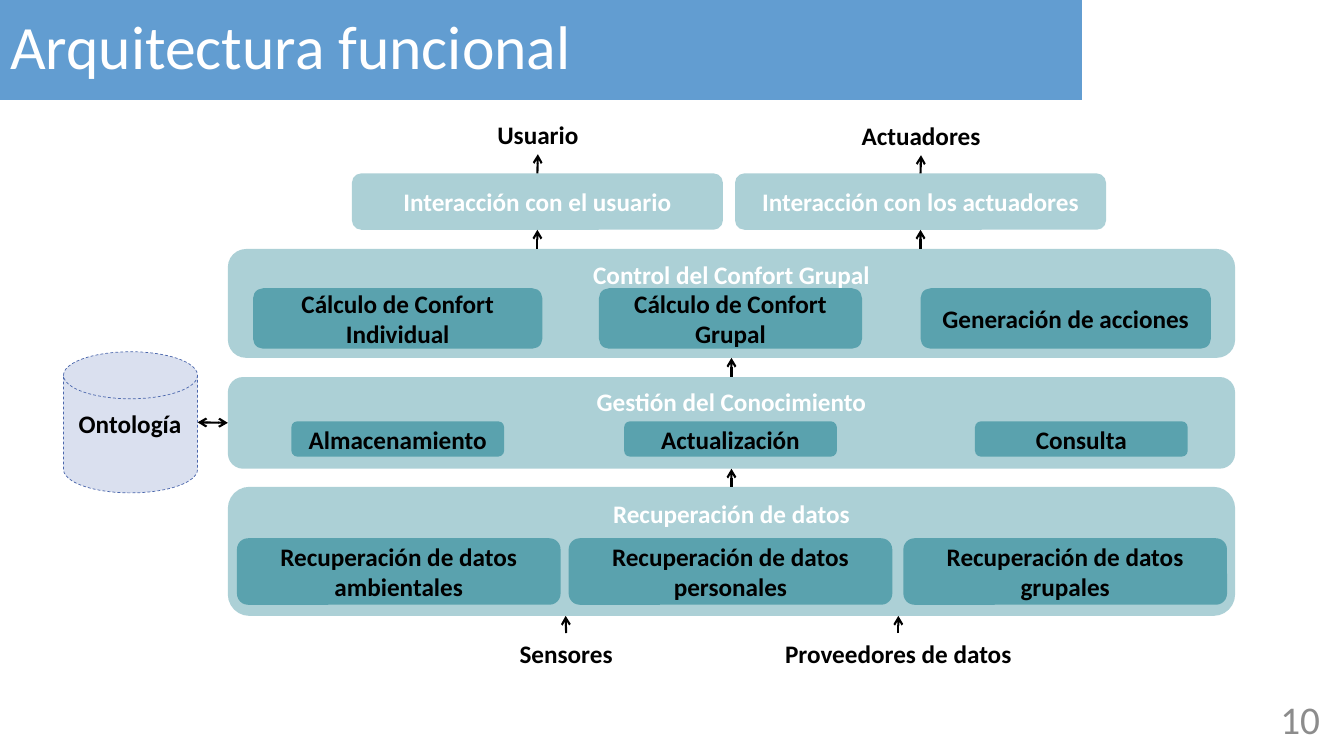
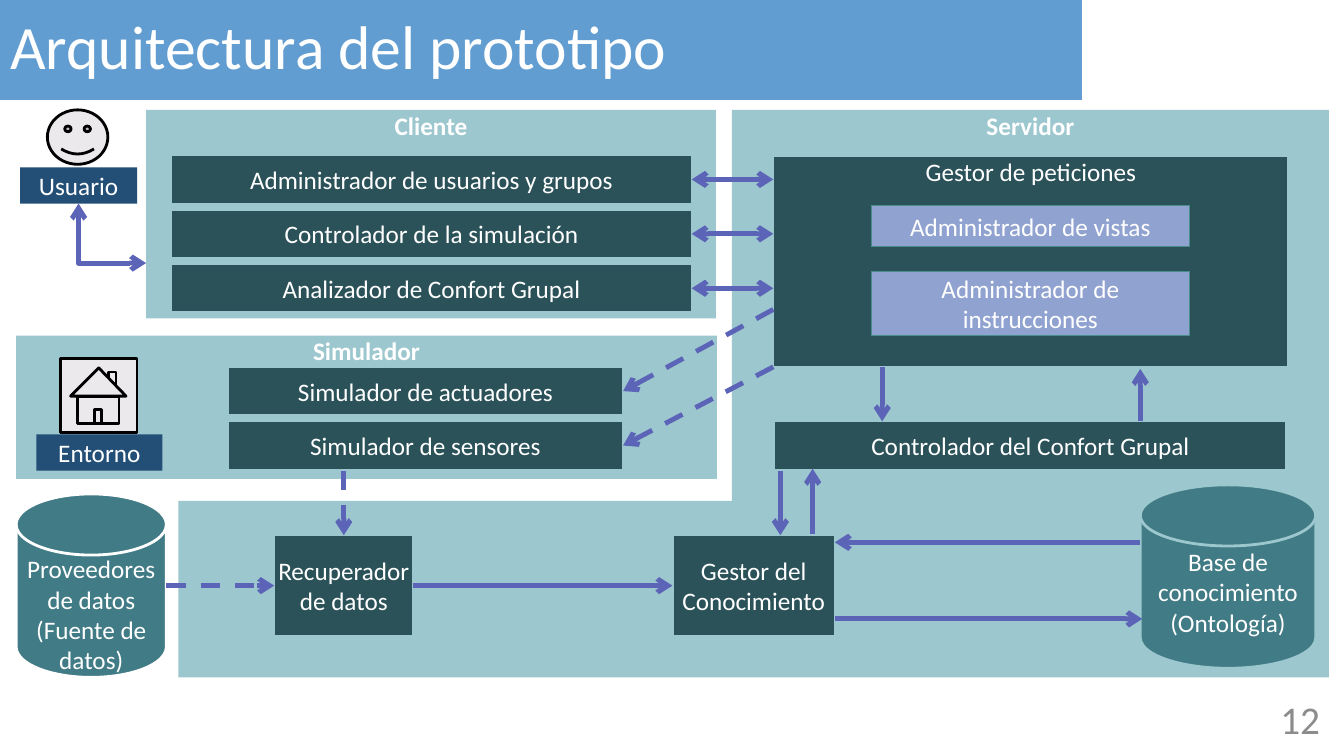
from dataclasses import dataclass, replace

from lxml import etree
from pptx import Presentation
from pptx.dml.color import RGBColor
from pptx.enum.dml import MSO_LINE
from pptx.enum.shapes import MSO_CONNECTOR, MSO_SHAPE
from pptx.enum.text import MSO_ANCHOR, MSO_AUTO_SIZE, PP_ALIGN
from pptx.oxml.ns import qn
from pptx.util import Emu, Pt

RECT, ROUND = MSO_SHAPE.RECTANGLE, MSO_SHAPE.ROUNDED_RECTANGLE
DISK, SMILEY = MSO_SHAPE.FLOWCHART_MAGNETIC_DISK, MSO_SHAPE.SMILEY_FACE
STRAIGHT, ELBOW = MSO_CONNECTOR.STRAIGHT, MSO_CONNECTOR.ELBOW
TOP, MIDDLE = MSO_ANCHOR.TOP, MSO_ANCHOR.MIDDLE
LEFT, CENTER, RIGHT = PP_ALIGN.LEFT, PP_ALIGN.CENTER, PP_ALIGN.RIGHT
DASH = MSO_LINE.DASH

PX = 9144  # EMU per px, 100 px to the inch
FONT = "Calibri"
WHITE, BLACK, GREY = "FFFFFF", "000000", "8C8C8C"
BANNER, TEAL, PALE, DARK = "629DD1", "5AA2AE", "9CC7CE", "2B5259"
NAVY, LILAC, VIOLET, ICON = "234F77", "90A2CF", "5C64B7", "EBE9EC"
JOIN_REACH = 2


@dataclass(frozen=True)
class Style:
    kind: int = RECT
    fill: str = ""
    alpha: int = 100
    line: str = ""
    weight: float = 1.5
    dashed: bool = False
    color: str = WHITE
    bold: bool = False
    anchor: int = MIDDLE
    inset: tuple[int, int, int, int] = (0, 0, 0, 0)


@dataclass(frozen=True)
class Box:
    x: int
    y: int
    w: int
    h: int
    text: str
    style: Style


@dataclass(frozen=True)
class Arrow:
    x1: int
    y1: int
    x2: int
    y2: int
    both: bool = False
    dashed: bool = False
    kind: int = STRAIGHT


PADDED = (10, 5, 10, 5)
BAND = Style(ROUND, TEAL, alpha=50, bold=True, inset=PADDED)
LAYER = replace(BAND, anchor=TOP)
MODULE = replace(BAND, alpha=100, color=BLACK)
STORE = Style(DISK, "DAE0EF", line="4A66AC", weight=0.5, dashed=True)
ZONE = Style(fill=PALE, bold=True, anchor=TOP)
PART = Style(fill=DARK, line=PALE)
TAG = Style(fill=NAVY)
ADMIN = Style(fill=LILAC, line="498D8D", weight=0.75)
DATABASE = Style(DISK, "417B85", line=PALE, weight=2, inset=PADDED)
PROVIDERS = replace(DATABASE, line=WHITE, inset=(10, 31, 10, 5))
DRAWING = Style(fill=ICON, line=BLACK, weight=2)


def px(n: int) -> Emu:
    return Emu(round(n * PX))


def rgb(value: str) -> RGBColor:
    return RGBColor.from_string(value)


def write(sp, text: str, size: int, color: str, align: int, bold: bool = False):
    tf = sp.text_frame
    tf.text = text
    p = tf.paragraphs[0]
    p.alignment = align
    p.font.name, p.font.size, p.font.bold = FONT, Pt(size), bold
    p.font.color.rgb = rgb(color)
    return tf


def paint(sp, style: Style) -> None:
    sp.shadow.inherit = False
    sp.fill.solid()
    sp.fill.fore_color.rgb = rgb(style.fill)
    if style.alpha < 100:
        color = sp.fill._xPr.find(qn("a:solidFill"))[0]
        etree.SubElement(color, qn("a:alpha"), val=str(style.alpha * 1000))
    if not style.line:
        sp.line.fill.background()
        return
    sp.line.color.rgb = rgb(style.line)
    sp.line.width = Pt(style.weight)
    if style.dashed:
        sp.line.dash_style = DASH


def add_box(slide, box: Box):
    s = box.style
    sp = slide.shapes.add_shape(s.kind, px(box.x), px(box.y), px(box.w), px(box.h))
    paint(sp, s)
    if box.text:
        tf = write(sp, box.text, 18, s.color, CENTER, s.bold)
        tf.word_wrap = True
        tf.vertical_anchor = s.anchor
        (tf.margin_left, tf.margin_top,
         tf.margin_right, tf.margin_bottom) = map(px, s.inset)
    return sp


def add_label(slide, x: int, y: int, w: int, text: str, size: int = 18,
              color: str = BLACK, align: int = CENTER, bold: bool = True):
    sp = slide.shapes.add_textbox(px(x), px(y), px(w), px(40))
    tf = write(sp, text, size, color, align, bold)
    tf.word_wrap = False
    tf.vertical_anchor = MIDDLE
    return sp


def join(connect, x: int, y: int, targets: list) -> None:
    """Attach a connector end to the rectangle side whose middle lies there."""
    reach = px(JOIN_REACH)
    for sp in targets:
        cx, cy = sp.left + sp.width // 2, sp.top + sp.height // 2
        sides = ((cx, sp.top), (sp.left, cy),
                 (cx, sp.top + sp.height), (sp.left + sp.width, cy))
        for site, (sx, sy) in enumerate(sides):
            if abs(sx - px(x)) <= reach and abs(sy - px(y)) <= reach:
                connect(sp, site)
                return


def add_arrow(slide, arrow: Arrow, color: str, weight: float, targets: list) -> None:
    cxn = slide.shapes.add_connector(
        arrow.kind, px(arrow.x1), px(arrow.y1), px(arrow.x2), px(arrow.y2))
    cxn.line.color.rgb = rgb(color)
    cxn.line.width = Pt(weight)
    if arrow.dashed:
        cxn.line.dash_style = DASH
    ln = cxn.line._get_or_add_ln()
    for end in ("headEnd", "tailEnd") if arrow.both else ("tailEnd",):
        etree.SubElement(ln, qn(f"a:{end}"), type="arrow")
    sp_pr = cxn._element.spPr
    etree.SubElement(sp_pr, qn("a:effectLst"))
    if arrow.kind == ELBOW:  # a single bend
        sp_pr.find(qn("a:prstGeom")).set("prst", "bentConnector2")
    join(cxn.begin_connect, arrow.x1, arrow.y1, targets)
    join(cxn.end_connect, arrow.x2, arrow.y2, targets)


def add_diagram(slide, boxes: list[Box], labels: list[tuple], arrows: list[Arrow],
                color: str, weight: float) -> None:
    targets = [sp for box in boxes for sp in [add_box(slide, box)]
               if box.style.kind in (RECT, ROUND)]
    targets += [add_label(slide, *label) for label in labels]
    for arrow in arrows:
        add_arrow(slide, arrow, color, weight, targets)


def add_slide(prs, title: str, number: int):
    """Slide with the title band and the page number."""
    slide = prs.slides.add_slide(prs.slide_layouts[5])
    sp = slide.shapes.title
    sp.left, sp.top, sp.width, sp.height = px(0), px(0), px(1073), px(99)
    sp.fill.solid()
    sp.fill.fore_color.rgb = rgb(BANNER)
    tf = write(sp, title, 44, WHITE, LEFT)
    tf.paragraphs[0].line_spacing = 0.9
    tf.vertical_anchor = MIDDLE
    tf.auto_size = MSO_AUTO_SIZE.NONE
    page = add_label(slide, 1019, 693, 300, str(number), 28, GREY, RIGHT, False)
    page.text_frame.word_wrap = True
    return slide


def add_house(slide) -> None:
    outlines = (
        [(60, 356), (136, 356), (136, 429), (60, 429)],  # frame
        [(108, 382), (108, 369), (115, 369), (115, 382)],  # chimney
        [(77, 393), (118, 393), (118, 420), (77, 420)],  # walls
        [(98, 365), (125, 393), (70, 393)],  # roof
        [(94, 420), (94, 406), (101, 406), (101, 420)],  # door
    )
    for start, *rest in outlines:
        builder = slide.shapes.build_freeform(*start, scale=float(PX))
        builder.add_line_segments(rest, close=True)
        paint(builder.convert_to_shape(), DRAWING)


def functional_architecture(prs) -> None:
    slide = add_slide(prs, "Arquitectura funcional", 10)
    boxes = [Box(226, y, 999, h, text, LAYER) for y, h, text in (
        (247, 108, "Control del Confort Grupal"),
        (374, 91, "Gestión del Conocimiento"),
        (483, 128, "Recuperación de datos"))]
    boxes += [Box(x, 172, 368, 56, text, BAND) for x, text in (
        (349, "Interacción con el usuario"),
        (729, "Interacción con los actuadores"))]
    # Modules of each layer
    rows = (
        (286, 60, ((251, 287, "Cálculo de Confort Individual"),
                   (594, 261, "Cálculo de Confort Grupal"),
                   (913, 288, "Generación de acciones"))),
        (418, 35, ((289, 211, "Almacenamiento"),
                   (619, 211, "Actualización"),
                   (967, 211, "Consulta"))),
        (534, 66, ((235, 321, "Recuperación de datos ambientales"),
                   (564, 321, "Recuperación de datos personales"),
                   (896, 321, "Recuperación de datos grupales"))),
    )
    boxes += [Box(x, y, w, h, text, MODULE)
              for y, h, cells in rows for x, w, text in cells]
    boxes.append(Box(63, 349, 133, 140, "", STORE))
    labels = [(483, 113, 101, "Usuario"), (844, 114, 139, "Actuadores"),
              (505, 628, 113, "Sensores"), (768, 628, 246, "Proveedores de datos"),
              (66, 400, 126, "Ontología")]
    # Upward flow, plus the link with the ontology
    arrows = [Arrow(x, y1, x, y2) for x, y1, y2 in (
        (533, 247, 228), (913, 247, 228), (533, 172, 154), (913, 172, 154),
        (725, 374, 355), (725, 483, 465), (561, 628, 611), (891, 628, 611))]
    arrows.append(Arrow(226, 419, 196, 419, both=True))
    add_diagram(slide, boxes, labels, arrows, BLACK, 1.5)


def prototype_architecture(prs) -> None:
    slide = add_slide(prs, "Arquitectura del prototipo", 12)
    pitch = 54
    client = ("Administrador de usuarios y grupos", "Controlador de la simulación",
              "Analizador de Confort Grupal")
    simulators = ("Simulador de actuadores", "Simulador de sensores")
    # Zones, then the parts inside them
    boxes = [
        Box(177, 497, 1141, 175, "", ZONE),
        Box(726, 109, 592, 399, "Servidor", ZONE),
        Box(16, 333, 695, 142, "Simulador", ZONE),
        Box(145, 109, 565, 207, "Cliente", ZONE),
        Box(20, 166, 116, 36, "Usuario", TAG),
        Box(36, 431, 125, 36, "Entorno", TAG),
        Box(47, 109, 60, 54, "", replace(DRAWING, kind=SMILEY)),
        Box(16, 490, 149, 182, "Proveedores de datos (Fuente de datos)", PROVIDERS),
        Box(1131, 481, 174, 182, "Base de conocimiento (Ontología)", DATABASE),
        Box(767, 155, 511, 209, "Gestor de peticiones", replace(PART, anchor=TOP)),
        Box(864, 204, 316, 41, "Administrador de vistas", ADMIN),
        Box(864, 269, 316, 64, "Administrador de instrucciones", ADMIN),
        Box(768, 418, 508, 48, "Controlador del Confort Grupal", PART),
        Box(272, 531, 138, 100, "Recuperador de datos", PART),
        Box(667, 531, 161, 100, "Gestor del Conocimiento", PART),
    ]
    boxes += [Box(170, 154 + pitch * i, 516, 48, text, PART)
              for i, text in enumerate(client)]
    boxes += [Box(226, 364 + pitch * i, 392, 48, text, PART)
              for i, text in enumerate(simulators)]
    arrows = [Arrow(767, 178 + pitch * i, 686, 178 + pitch * i, both=True)
              for i in range(len(client))]
    arrows += [
        Arrow(767, 307, 618, 388, dashed=True),
        Arrow(767, 364, 618, 442, dashed=True),
        Arrow(341, 467, 341, 531, dashed=True),
        Arrow(165, 581, 272, 581, dashed=True),
        Arrow(410, 581, 667, 581),
        Arrow(828, 614, 1133, 614),
        Arrow(1131, 538, 828, 538),
        Arrow(875, 364, 875, 418),
        Arrow(1131, 418, 1131, 366),
        Arrow(774, 467, 774, 531),
        Arrow(806, 530, 806, 465),
        Arrow(145, 261, 78, 202, both=True, kind=ELBOW),
    ]
    add_diagram(slide, boxes, [], arrows, VIOLET, 3.5)
    add_house(slide)


def main() -> None:
    prs = Presentation()
    prs.slide_width, prs.slide_height = px(1333), px(750)
    functional_architecture(prs)
    prototype_architecture(prs)
    prs.save("out.pptx")


if __name__ == "__main__":
    main()
